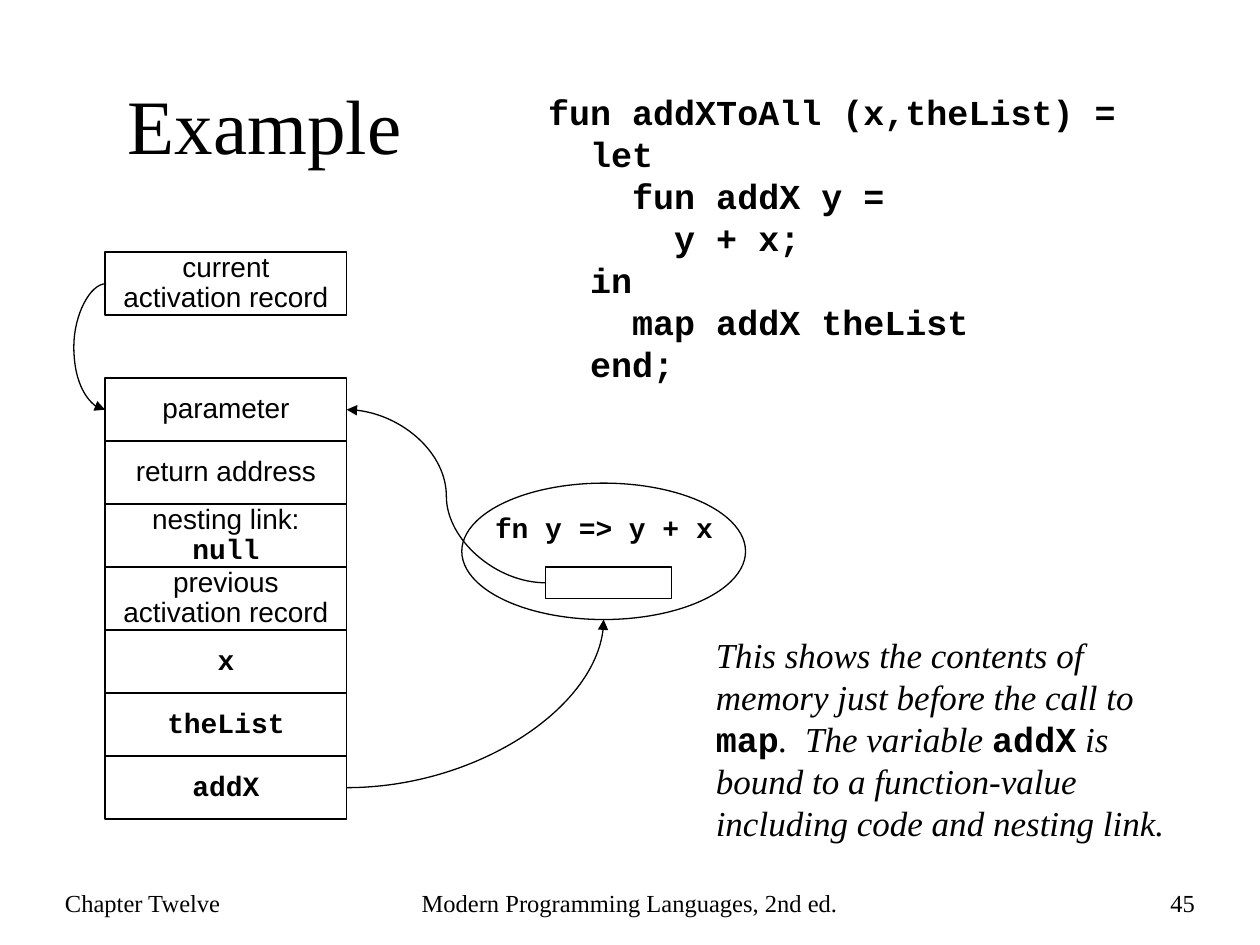
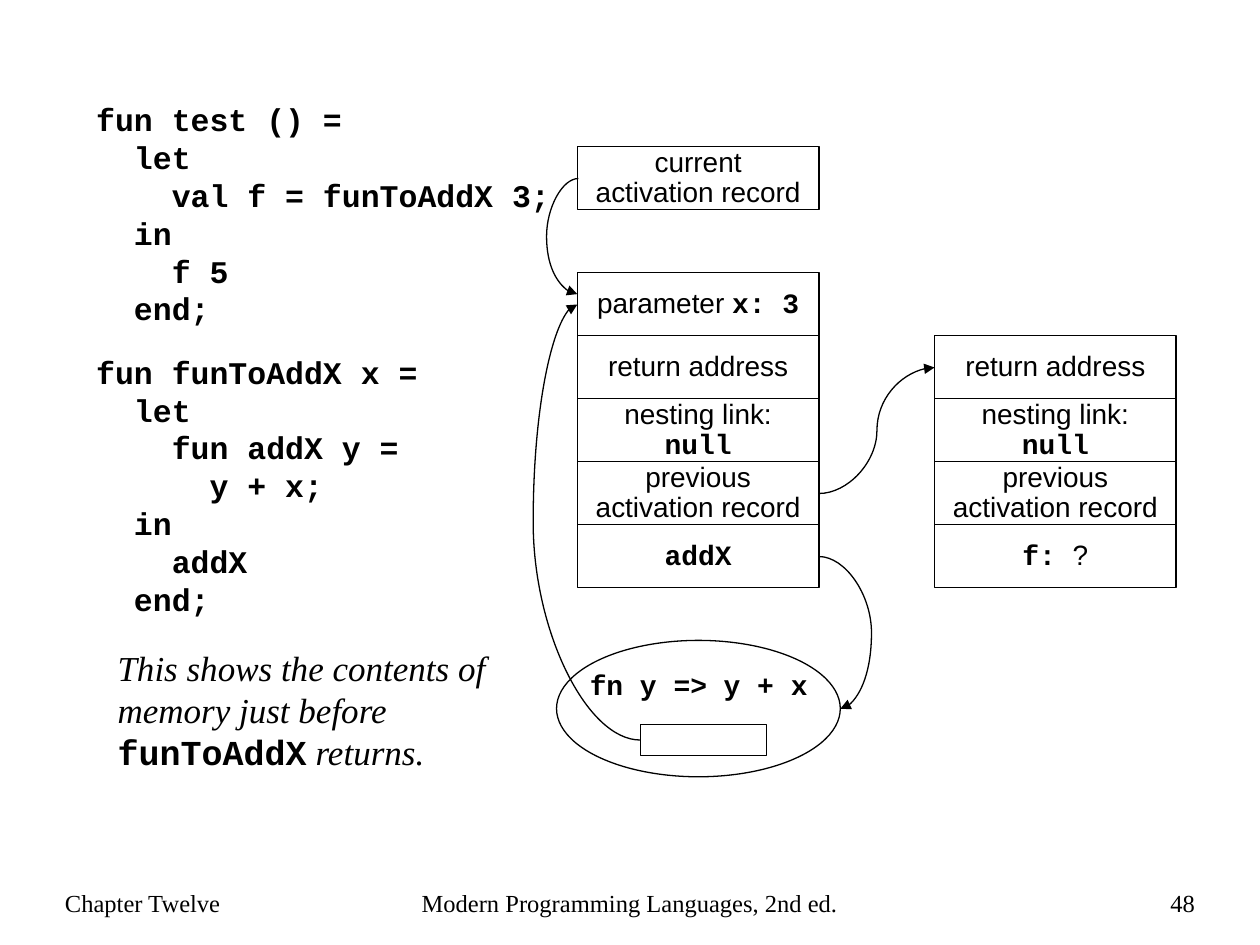
from dataclasses import dataclass

from lxml import etree
from pptx import Presentation
from pptx.dml.color import RGBColor
from pptx.enum.shapes import MSO_CONNECTOR, MSO_SHAPE
from pptx.enum.text import MSO_ANCHOR, PP_ALIGN
from pptx.oxml.ns import qn
from pptx.util import Cm, Pt

RECT, OVAL = MSO_SHAPE.RECTANGLE, MSO_SHAPE.OVAL
CURVE = MSO_CONNECTOR.CURVE
LEFT, CENTER, RIGHT = PP_ALIGN.LEFT, PP_ALIGN.CENTER, PP_ALIGN.RIGHT
TOP, MIDDLE = MSO_ANCHOR.TOP, MSO_ANCHOR.MIDDLE


@dataclass(frozen=True)
class Theme:
    ink: RGBColor = RGBColor(0, 0, 0)
    paper: RGBColor = RGBColor(255, 255, 255)
    serif: str = "Times New Roman"
    sans: str = "Arial"
    mono: str = "Courier New"
    title: float = 44
    body: float = 20
    code: float = 18
    cell: float = 16
    footer: float = 14
    cell_leading: float = 17.2
    body_leading: float = 1.2
    line: float = 0.75


T = Theme()
# style: font, bold, italic
STYLES = {
    "serif": (T.serif, False, False),
    "note": (T.serif, False, True),
    "sans": (T.sans, False, False),
    "code": (T.mono, True, False),
}
CELL_W, CELL_H = 4.87, 1.27
OVAL_W, OVAL_H = 5.72, 2.75

CURRENT = [("current\nactivation record", "sans")]
RETURN = [("return address", "sans")]
NESTING = [("nesting link: ", "sans"), ("null", "code")]
PREVIOUS = [("previous\nactivation record", "sans")]
LINKAGE = [RETURN, NESTING, PREVIOUS]
ADD_X = [("addX", "code")]

# Positions in cm. records: left, top, cells; arrows: start, end, x of the bend
SLIDES = [
    dict(
        page="45",
        title="Example",
        code=[((10.8, 1.69, 12.5, 6.17), T.body,
               "fun addXToAll (x,theList) =\n  let\n    fun addX y =\n"
               "      y + x;\n  in\n    map addX theList\n  end;")],
        note=((14.18, 12.65, 9.95, 4.5), [
            ("This shows the contents of memory just before the call to ", "note"),
            ("map", "code"), (".  The variable ", "note"), ("addX", "code"),
            (" is bound to a function-value including code and nesting link.", "note")]),
        closure=(9.31, 9.74),
        records=[
            (2.12, 5.08, [CURRENT]),
            (2.12, 7.62, [[("parameter", "sans")], *LINKAGE, [("x", "code")],
                          [("theList", "code")], ADD_X]),
        ],
        arrows=[
            ((2.14, 5.72), (2.12, 8.26), 1.49),
            ((6.99, 15.88), (12.17, 12.49), None),
            ((11, 11.75), (6.99, 8.26), 9),
        ],
    ),
    dict(
        page="48",
        title=None,
        code=[
            ((1.69, 1.9, 9.74, 4.83), T.code,
             "fun test () =\n  let\n    val f = funToAddX 3;\n  in\n    f 5\n  end;"),
            ((1.69, 6.99, 7.3, 5.59), T.code,
             "fun funToAddX x =\n  let\n    fun addX y = \n      y + x;\n"
             "  in\n    addX\n  end;"),
        ],
        note=((2.12, 12.91, 8.26, 2.8), [
            ("This shows the contents of memory just before ", "note"),
            ("funToAddX", "code"), (" returns.", "note")]),
        closure=(11.22, 12.91),
        records=[
            (11.64, 2.96, [CURRENT]),
            (11.64, 5.5, [[("parameter ", "sans"), ("x: 3", "code")], *LINKAGE, ADD_X]),
            (18.84, 6.77, [*LINKAGE, [("f: ", "code"), ("?", "sans")]]),
        ],
        arrows=[
            ((11.66, 3.6), (11.64, 5.93), 11.02),
            ((16.51, 11.22), (16.94, 14.29), 17.57),
            ((12.91, 14.92), (11.64, 6.14), 10.75),
            ((16.51, 9.95), (18.84, 7.41), 17.68),
        ],
    ),
]


def add_text(s, runs, box, size=T.cell, align=LEFT, anchor=TOP, leading=None,
             kind=None, fill=None):
    """Place (text, style) runs in a text box, or in an outlined shape of the given kind."""
    box = [Cm(v) for v in box]
    if kind is None:
        sp = s.shapes.add_textbox(*box)
    else:
        sp = s.shapes.add_shape(kind, *box)
        sp.shadow.inherit = False
        sp.line.color.rgb = T.ink
        sp.line.width = Pt(T.line)
        if fill is None:
            sp.fill.background()
        else:
            sp.fill.solid()
            sp.fill.fore_color.rgb = fill
    tf = sp.text_frame
    tf.word_wrap = True
    tf.vertical_anchor = anchor
    p = tf.paragraphs[0]
    p.alignment = align
    if leading:
        p.line_spacing = Pt(leading)
    for text, style in runs:
        for i, line in enumerate(text.split("\n")):
            if i:
                p.add_line_break()
            r = p.add_run()
            r.text = line
            r.font.name, r.font.bold, r.font.italic = STYLES[style]
            r.font.size = Pt(size)
            r.font.color.rgb = T.ink


def add_arrow(s, start, end, bend_x):
    """Curve from start to end, bending at bend_x, or a quarter turn if it is None."""
    c = s.shapes.add_connector(CURVE, *[Cm(v) for v in (*start, *end)])
    c.line.color.rgb = T.ink
    c.line.width = Pt(T.line)
    props = c.element.spPr
    geom = props.find(qn("a:prstGeom"))
    if bend_x is None:
        geom.set("prst", "curvedConnector2")
    else:
        ratio = (bend_x - start[0]) / (end[0] - start[0])
        guides = geom.find(qn("a:avLst"))
        etree.SubElement(guides, qn("a:gd"), name="adj1", fmla=f"val {round(ratio * 100000)}")
    etree.SubElement(props.find(qn("a:ln")), qn("a:tailEnd"), type="triangle", w="med", len="med")
    etree.SubElement(props, qn("a:effectLst"))


prs = Presentation()
prs.slide_width, prs.slide_height = Cm(25.4), Cm(19.05)

for page in SLIDES:
    s = prs.slides.add_slide(prs.slide_layouts[6])
    s.background.fill.solid()
    s.background.fill.fore_color.rgb = T.paper

    if page["title"]:
        add_text(s, [(page["title"], "serif")], (2.33, 0.95, 21.6, 3.07),
                 size=T.title, anchor=MIDDLE)
    for text, left, width, align in [
        ("Chapter Twelve", 1.06, 5.72, LEFT),
        ("Modern Programming Languages, 2nd ed.", 7.2, 10.99, CENTER),
        (page["page"], 19.05, 5.29, RIGHT),
    ]:
        add_text(s, [(text, "serif")], (left, 17.56, width, 1.27),
                 size=T.footer, align=align, anchor=MIDDLE)

    for box, size, code in page["code"]:
        add_text(s, [(code, "code")], box, size=size, leading=size * T.body_leading)
    box, runs = page["note"]
    add_text(s, runs, box, size=T.body, leading=T.body * T.body_leading)

    x, y = page["closure"]
    add_text(s, [], (x, y, OVAL_W, OVAL_H), kind=OVAL)
    add_text(s, [("fn y => y + x", "code")], (x + 0.42, y + 0.42, 5.08, 0.94))
    add_text(s, [], (x + 1.69, y + 1.69, 2.54, 0.63), kind=RECT, fill=T.paper)

    for left, top, cells in page["records"]:
        for i, runs in enumerate(cells):
            add_text(s, runs, (left, top + i * CELL_H, CELL_W, CELL_H), align=CENTER,
                     anchor=MIDDLE, leading=T.cell_leading, kind=RECT)

    for start, end, bend_x in page["arrows"]:
        add_arrow(s, start, end, bend_x)

prs.save("out.pptx")
